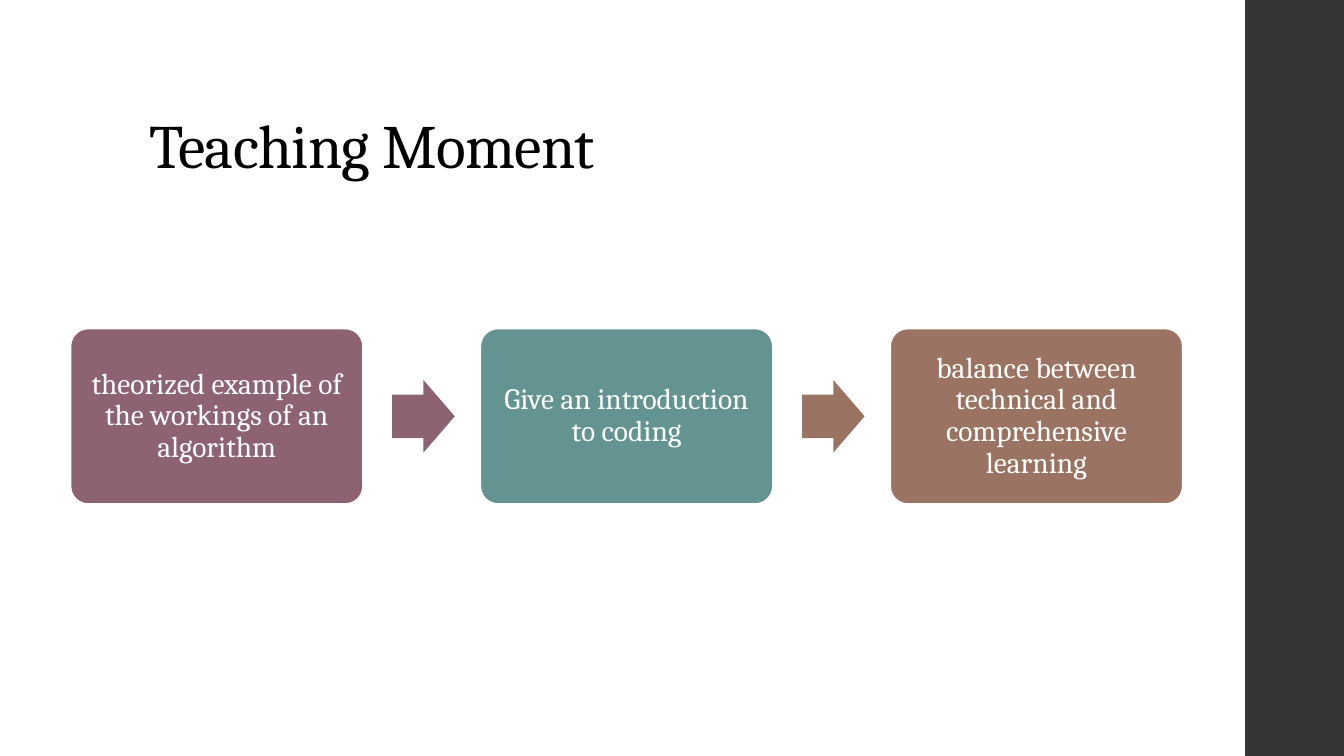
"""Build the "Teaching Moment" slide: a three-step process beside a dark side band."""
import pptx
import pptx.dml.color
import pptx.enum.shapes
import pptx.enum.text
import pptx.util

TITLE = "Teaching Moment"
STEPS = [
    ("theorized example of the workings of an algorithm", "plum"),
    ("Give an introduction to coding", "teal"),
    ("balance between technical and comprehensive learning", "clay"),
]
ARROW_COLORS = ["plum", "clay"]
COLORS = {"plum": "8D6374", "teal": "639491", "clay": "9B7362",
          "band": "353537", "white": "FFFFFF", "black": "000000"}
FONT = "Cambria"

SLIDE_W, SLIDE_H = 13.33, 7.5
BAND_LEFT, BAND_W = 12.35, 1
ROW_LEFT, ROW_MIDDLE, PITCH = 0.7, 4.13, 4.065
STEP_W, STEP_H = 2.9, 1.74
ARROW_OFFSET, ARROW_W, ARROW_H = 3.19, 0.62, 0.72

Inches, Pt = pptx.util.Inches, pptx.util.Pt
SHAPES = pptx.enum.shapes.MSO_SHAPE
ANCHOR = pptx.enum.text.MSO_ANCHOR


def rgb(name):
    """Return the named colour."""
    return pptx.dml.color.RGBColor.from_string(COLORS[name])


def add_block(slide, preset, left, top, width, height, color, adjustments=()):
    """Add a flat filled shape without outline or shadow."""
    block = slide.shapes.add_shape(preset, *map(Inches, (left, top, width, height)))
    block.shadow.inherit = False
    block.fill.solid()
    block.fill.fore_color.rgb = rgb(color)
    block.line.fill.background()
    for index, value in enumerate(adjustments):
        block.adjustments[index] = value
    return block


def write(shape, text, size, color, align, anchor):
    """Set the shape's single paragraph."""
    frame = shape.text_frame
    frame.word_wrap = True
    frame.auto_size = pptx.enum.text.MSO_AUTO_SIZE.NONE
    frame.vertical_anchor = anchor
    frame.text = text
    paragraph = frame.paragraphs[0]
    paragraph.alignment = align
    paragraph.line_spacing = 0.9
    paragraph.font.name = FONT
    paragraph.font.size = Pt(size)
    paragraph.font.color.rgb = rgb(color)
    return frame


def add_step(slide, left, text, color):
    """Add one rounded process box with its text."""
    step = add_block(slide, SHAPES.ROUNDED_RECTANGLE, left, ROW_MIDDLE - STEP_H / 2,
                     STEP_W, STEP_H, color, [0.1])
    step.line.color.rgb = rgb("white")
    step.line.width = Pt(1.1)
    frame = write(step, text, 21, "white", pptx.enum.text.PP_ALIGN.CENTER, ANCHOR.MIDDLE)
    frame.margin_left = frame.margin_right = Inches(0.09)
    frame.margin_top = frame.margin_bottom = Inches(0.09)


def main():
    """Lay out the slide and save it."""
    deck = pptx.Presentation()
    deck.slide_width, deck.slide_height = Inches(SLIDE_W), Inches(SLIDE_H)
    slide = deck.slides.add_slide(deck.slide_layouts[5])

    add_block(slide, SHAPES.RECTANGLE, BAND_LEFT, 0, BAND_W, SLIDE_H, "band")

    title = slide.shapes.title
    title.left, title.top, title.width, title.height = map(Inches, (1.38, 0.4, 10.6, 1.45))
    heading = write(title, TITLE, 44, "black", pptx.enum.text.PP_ALIGN.LEFT, ANCHOR.BOTTOM)
    heading.paragraphs[0].runs[0].font._element.set("spc", "-50")

    for column, (text, color) in enumerate(STEPS):
        add_step(slide, ROW_LEFT + column * PITCH, text, color)
    for column, color in enumerate(ARROW_COLORS):
        add_block(slide, SHAPES.RIGHT_ARROW, ROW_LEFT + column * PITCH + ARROW_OFFSET,
                  ROW_MIDDLE - ARROW_H / 2, ARROW_W, ARROW_H, color, [0.6, 0.5])

    deck.save("out.pptx")


if __name__ == "__main__":
    main()
